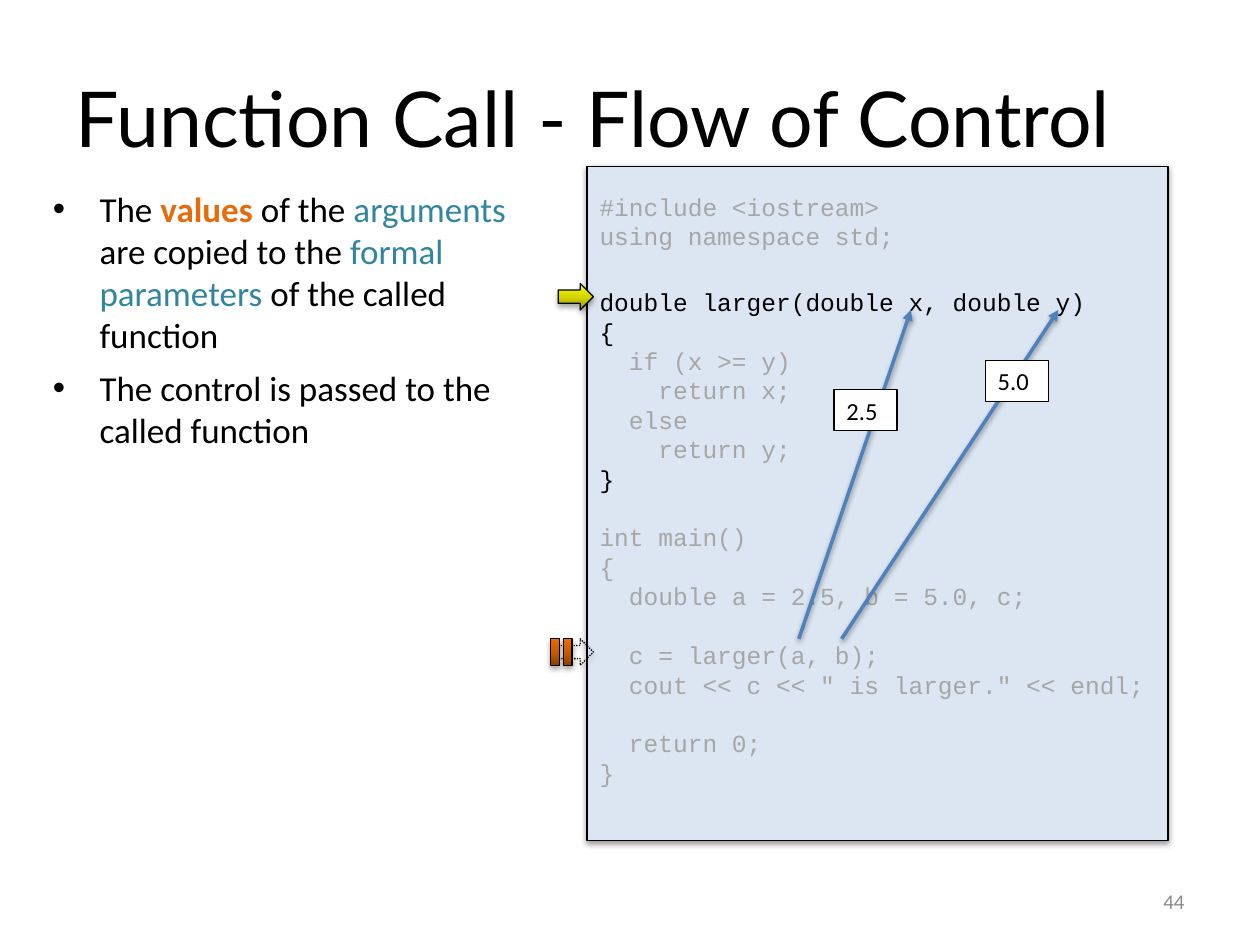
from pptx import Presentation
from pptx.dml.color import RGBColor
from pptx.enum.dml import MSO_LINE
from pptx.enum.shapes import MSO_CONNECTOR, MSO_SHAPE
from pptx.enum.text import MSO_ANCHOR, MSO_AUTO_SIZE, PP_ALIGN
from pptx.oxml import parse_xml
from pptx.oxml.ns import nsdecls
from pptx.util import Inches, Pt

RECTANGLE, ARROW = MSO_SHAPE.RECTANGLE, MSO_SHAPE.RIGHT_ARROW
LEFT, RIGHT = PP_ALIGN.LEFT, PP_ALIGN.RIGHT
TOP, MIDDLE = MSO_ANCHOR.TOP, MSO_ANCHOR.MIDDLE

COLORS = {
    "black": "000000", "white": "FFFFFF", "orange": "E46C0A", "teal": "31859C",
    "panel": "DCE6F2", "faded": "A6A6A6", "blue": "4F81BD", "number": "8B8B8B",
}
YELLOW_STOPS = [(0, "979700"), (50, "D6D600"), (100, "FFFF00")]
ORANGE_STOPS = [(0, "8D4000"), (50, "C85B00"), (100, "EE6B00")]
SHADOW = (
    f'<a:effectLst {nsdecls("a")}><a:outerShdw blurRad="40000" dist="%d" dir="5400000" rotWithShape="0">'
    '<a:srgbClr val="000000"><a:alpha val="%d000"/></a:srgbClr></a:outerShdw></a:effectLst>'
)
SOFT_SHADOW, MARKER_SHADOW = (20000, 38), (23000, 35)


def add_run(paragraph, text, size, font, color, bold=False):
    run = paragraph.add_run()
    run.text = text
    run.font.size = Pt(size)
    run.font.name = font
    run.font.bold = bold
    run.font.color.rgb = RGBColor.from_string(COLORS[color])


def add_box(shapes, kind, box, fill=None, stops=None, shadow=None):
    shape = shapes.add_shape(kind, *[Inches(length) for length in box])
    shape.line.color.rgb = RGBColor.from_string(COLORS["black"])
    shape.line.width = Pt(0.75)
    properties = shape._element.spPr
    if stops:
        marks = "".join(
            f'<a:gs pos="{position}000"><a:srgbClr val="{color}"/></a:gs>' for position, color in stops
        )
        properties.insert(2, parse_xml(
            f'<a:gradFill {nsdecls("a")} rotWithShape="1"><a:gsLst>{marks}</a:gsLst>'
            '<a:lin ang="16200000" scaled="0"/></a:gradFill>'
        ))
    elif fill:
        shape.fill.solid()
        shape.fill.fore_color.rgb = RGBColor.from_string(COLORS[fill])
    else:
        shape.fill.background()
    if shadow:
        properties.append(parse_xml(SHADOW % shadow))
    else:
        shape.shadow.inherit = False
    return shape


presentation = Presentation()
presentation.slide_width = Inches(10)
presentation.slide_height = Inches(7.5)
slide = presentation.slides.add_slide(presentation.slide_layouts[1])

title = slide.shapes.title
title.left, title.top, title.width, title.height = Inches(0.5), Inches(0.3), Inches(9), Inches(1.25)
title.text_frame.auto_size = MSO_AUTO_SIZE.NONE
title.text_frame.vertical_anchor = MIDDLE
paragraph = title.text_frame.paragraphs[0]
paragraph.alignment = LEFT
add_run(paragraph, "Function Call - Flow of Control", 44, "Lato", "black")

body = slide.placeholders[1]
body.left, body.top, body.width, body.height = Inches(0.31), Inches(1.44), Inches(4.06), Inches(5.37)
body.text_frame.auto_size = MSO_AUTO_SIZE.NONE
bullets = [
    [("The ", "black"), ("values", "orange"), (" of the ", "black"), ("arguments", "teal"),
     (" are copied to the ", "black"), ("formal parameters", "teal"),
     (" of the called function", "black")],
    [("The control is passed to the called function", "black")],
]
for index, runs in enumerate(bullets):
    paragraph = body.text_frame.add_paragraph() if index else body.text_frame.paragraphs[0]
    paragraph.space_before = Pt(6)
    properties = paragraph._p.get_or_add_pPr()
    properties.set("marL", str(Inches(0.38)))
    properties.set("indent", str(Inches(-0.37)))
    properties.append(parse_xml(f'<a:buFont {nsdecls("a")} typeface="Arial"/>'))
    properties.append(parse_xml(f'<a:buChar {nsdecls("a")} char="•"/>'))
    for text, color in runs:
        add_run(paragraph, text, 20, "Calibri", color, bold=color == "orange")

LINE = 16.8
code = [
    ("#include <iostream>", "faded", 0),
    ("using namespace std;", "faded", 0),
    ("double larger(double x, double y)", "black", 21),
    ("{", "black", 0),
    ("  if (x >= y)", "faded", 0),
    ("    return x;", "faded", 0),
    ("  else", "faded", 0),
    ("    return y;", "faded", 0),
    ("}", "black", 0),
    ("int main()", "faded", LINE),
    ("{", "faded", 0),
    ("  double a = 2.5, b = 5.0, c;", "faded", 0),
    ("  c = larger(a, b);", "faded", LINE),
    ('  cout << c << " is larger." << endl;', "faded", 0),
    ("  return 0;", "faded", LINE),
    ("}", "faded", 0),
]
panel = add_box(slide.shapes, RECTANGLE, (4.66, 1.32, 4.61, 5.35), fill="panel", shadow=SOFT_SHADOW)
frame = panel.text_frame
frame.word_wrap = True
frame.vertical_anchor = TOP
frame.margin_top = Inches(0.2)
for index, (text, color, gap) in enumerate(code):
    paragraph = frame.add_paragraph() if index else frame.paragraphs[0]
    paragraph.alignment = LEFT
    paragraph.line_spacing = Pt(LINE)
    paragraph.space_before = Pt(gap)
    add_run(paragraph, text, 14, "Courier New", color)

add_box(slide.shapes, ARROW, (4.43, 2.25, 0.28, 0.21), stops=YELLOW_STOPS, shadow=MARKER_SHADOW)
paused = slide.shapes.add_group_shape()
paused_arrow = add_box(paused.shapes, ARROW, (4.43, 5.07, 0.28, 0.21), shadow=MARKER_SHADOW)
paused_arrow.line.dash_style = MSO_LINE.ROUND_DOT
for left in (4.37, 4.47):
    add_box(paused.shapes, RECTANGLE, (left, 5.07, 0.07, 0.21), stops=ORANGE_STOPS, shadow=MARKER_SHADOW)

for start, end in ((6.34, 7.23), (6.68, 8.4)):
    connector = slide.shapes.add_connector(
        MSO_CONNECTOR.STRAIGHT, Inches(start), Inches(5.07), Inches(end), Inches(2.46)
    )
    connector.line.color.rgb = RGBColor.from_string(COLORS["blue"])
    connector.line.width = Pt(2)
    connector.line._get_or_add_ln().append(parse_xml(f'<a:tailEnd {nsdecls("a")} type="triangle"/>'))
    connector._element.spPr.append(parse_xml(SHADOW % SOFT_SHADOW))

for value, left, top in (("2.5", 6.62, 3.09), ("5.0", 7.82, 2.86)):
    label = add_box(slide.shapes, RECTANGLE, (left, top, 0.5, 0.33), fill="white")
    label.text_frame.word_wrap = False
    label.text_frame.vertical_anchor = TOP
    paragraph = label.text_frame.paragraphs[0]
    paragraph.alignment = LEFT
    add_run(paragraph, value, 14, "Calibri", "black")

number = slide.shapes.add_textbox(Inches(7.17), Inches(6.95), Inches(2.33), Inches(0.4))
number.text_frame.word_wrap = True
number.text_frame.vertical_anchor = MIDDLE
paragraph = number.text_frame.paragraphs[0]
paragraph.alignment = RIGHT
add_run(paragraph, "44", 12, "Calibri", "number")

presentation.save("out.pptx")
